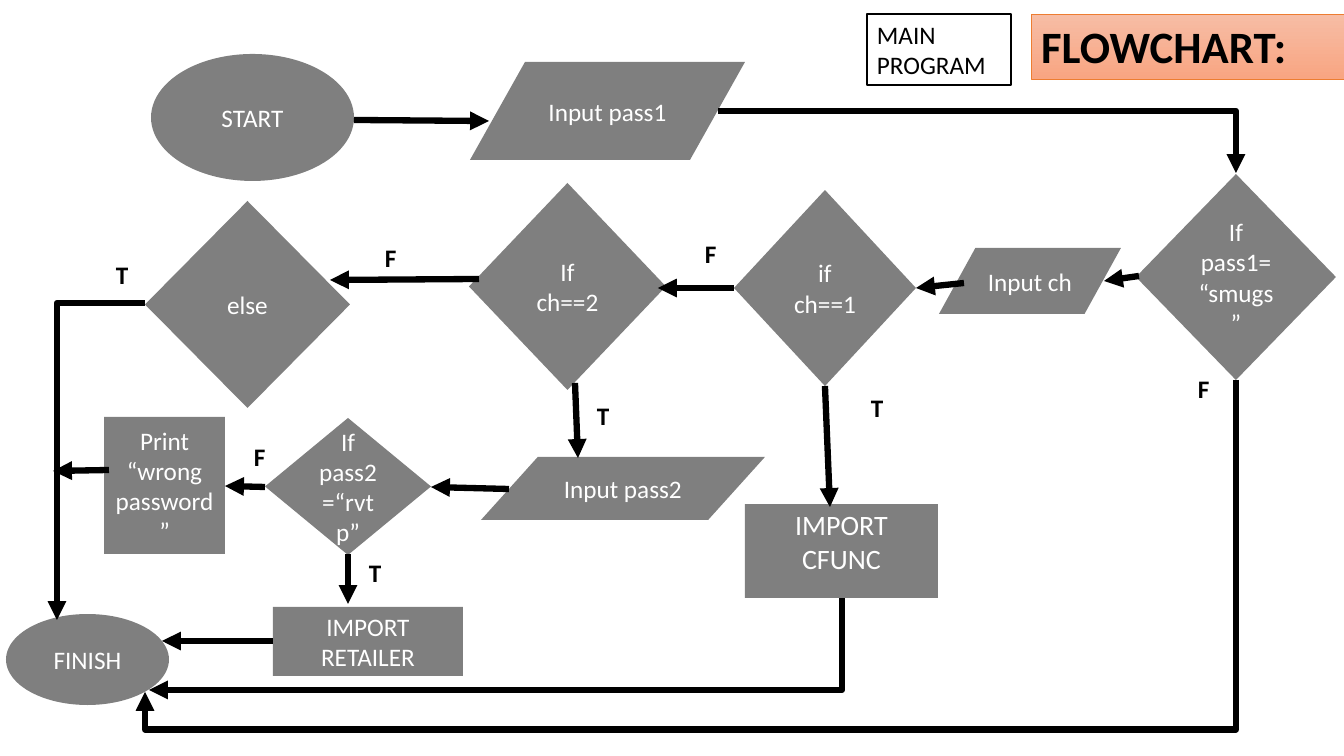
from dataclasses import dataclass

from lxml.etree import SubElement
from pptx import Presentation
from pptx.dml.color import RGBColor
from pptx.enum.shapes import MSO_CONNECTOR, MSO_SHAPE
from pptx.enum.text import MSO_ANCHOR, MSO_AUTO_SIZE, PP_ALIGN
from pptx.oxml.ns import qn
from pptx.util import Emu, Pt


@dataclass(frozen=True)
class Theme:
    """Colours, type sizes and line widths of the slide."""
    font: str = "Calibri"
    ink: RGBColor = RGBColor(0, 0, 0)
    paper: RGBColor = RGBColor(255, 255, 255)
    title_top: RGBColor = RGBColor(0xF7, 0xBD, 0xA5)
    title_bottom: RGBColor = RGBColor(0xF8, 0xA5, 0x82)
    title_edge: RGBColor = RGBColor(0xED, 0x7D, 0x31)
    title_size: int = 32
    large_size: int = 20
    body_size: int = 18
    arrow_width: float = 4.5
    node_alpha: int = 50000


THEME = Theme()


def px(value):
    """Turn picture pixels into EMU."""
    return Emu(round(value * 914400 / 100.8))


def write(shape, text, size, color, align, anchor, bold=False):
    """Put text into a shape, one paragraph a line."""
    frame = shape.text_frame
    frame.text = text
    frame.word_wrap = True
    frame.auto_size = MSO_AUTO_SIZE.NONE
    frame.vertical_anchor = anchor
    for paragraph in frame.paragraphs:
        paragraph.alignment = align
        paragraph.font.name = THEME.font
        paragraph.font.size = Pt(size)
        paragraph.font.bold = bold
        paragraph.font.color.rgb = color


@dataclass
class Region:
    """A box on the slide whose parts are placed from its top left corner."""
    slide: object
    left: int
    top: int

    def shape(self, kind, left, top, width, height):
        """Add a preset shape without shadow."""
        shape = self.slide.shapes.add_shape(
            kind, px(self.left + left), px(self.top + top), px(width), px(height))
        shape.shadow.inherit = False
        return shape

    def node(self, kind, text, left, top, width, height, size=THEME.body_size):
        """Add a translucent flowchart step."""
        shape = self.shape(kind, left, top, width, height)
        shape.fill.solid()
        shape.fill.fore_color.rgb = THEME.ink
        color = shape.fill._xPr.find(qn("a:solidFill"))[0]
        SubElement(color, qn("a:alpha"), val=str(THEME.node_alpha))
        shape.line.fill.background()
        write(shape, text, size, THEME.paper, PP_ALIGN.CENTER, MSO_ANCHOR.MIDDLE)
        return shape

    def label(self, text, left, top):
        """Add a branch label."""
        box = self.slide.shapes.add_textbox(
            px(self.left + left), px(self.top + top), px(52), px(40))
        write(box, text, THEME.body_size, THEME.ink, PP_ALIGN.LEFT, MSO_ANCHOR.TOP, True)

    def arrow(self, x1, y1, x2, y2, kind=MSO_CONNECTOR.STRAIGHT, end="a:tailEnd"):
        """Add a thick arrow between two points."""
        connector = self.slide.shapes.add_connector(
            kind, px(self.left + x1), px(self.top + y1),
            px(self.left + x2), px(self.top + y2))
        connector.line.color.rgb = THEME.ink
        connector.line.width = Pt(THEME.arrow_width)
        SubElement(connector.line._get_or_add_ln(), qn(end), type="triangle")
        SubElement(connector._element.spPr, qn("a:effectLst"))
        return connector

    def corner(self, x1, y1, x2, y2, end="a:tailEnd"):
        """Add an arrow that runs sideways, then turns once."""
        connector = self.arrow(x1, y1, x2, y2, MSO_CONNECTOR.ELBOW, end)
        connector._element.spPr.find(qn("a:prstGeom")).set("prst", "bentConnector2")

    def underpass(self, x1, y1, x2, y2, reach):
        """Add an arrow that drops, runs left and rises to its end."""
        middle_x, middle_y = (x1 + x2) / 2, (y1 + y2) / 2
        half_width, half_height = (y2 - y1) / 2, (x1 - x2) / 2
        connector = self.arrow(
            middle_x - half_width, middle_y - half_height,
            middle_x + half_width, middle_y + half_height, MSO_CONNECTOR.ELBOW)
        properties = connector._element.spPr
        properties.find(qn("a:xfrm")).set("rot", "5400000")
        geometry = properties.find(qn("a:prstGeom"))
        SubElement(geometry.find(qn("a:avLst")), qn("a:gd"),
                   name="adj1", fmla=f"val {round(reach * 100000)}")


def draw_header(region):
    """Draw the slide title and the program tag."""
    title = region.slide.shapes.title
    title.left, title.top = px(region.left + 164), px(region.top)
    title.width, title.height = px(313), px(65)
    title.fill.gradient()
    title.fill.gradient_angle = 270
    for stop, color in zip(title.fill.gradient_stops, (THEME.title_top, THEME.title_bottom)):
        stop.color.rgb = color
    title.line.color.rgb = THEME.title_edge
    title.line.width = Pt(0.5)
    write(title, "FLOWCHART:", THEME.title_size, THEME.ink,
          PP_ALIGN.LEFT, MSO_ANCHOR.TOP, True)
    tag = region.shape(MSO_SHAPE.RECTANGLE, 0, 0, 144, 71)
    tag.fill.solid()
    tag.fill.fore_color.rgb = THEME.paper
    tag.line.color.rgb = THEME.ink
    tag.line.width = Pt(1)
    write(tag, "MAIN PROGRAM", THEME.body_size, THEME.ink, PP_ALIGN.LEFT, MSO_ANCHOR.TOP)


def draw_entry(region):
    """Draw the start and the first password input."""
    region.node(MSO_SHAPE.OVAL, "START", 0, 0, 203, 127)
    region.node(MSO_SHAPE.FLOWCHART_DATA, "Input pass1", 319, 8, 275, 98)
    region.arrow(203, 66, 338, 67)
    region.corner(567, 57, 1085, 119)


def draw_choices(region):
    """Draw the row of decisions on the first password and the choice."""
    for text, *box in (("If pass1=“smugs”", 991, 0, 200, 206),
                       ("if ch==1", 589, 16, 182, 196),
                       ("If ch==2", 324, 9, 197, 207),
                       ("else", 0, 27, 205, 207)):
        region.node(MSO_SHAPE.DIAMOND, text, *box)
    region.node(MSO_SHAPE.FLOWCHART_DATA, "Input ch", 794, 74, 182, 66)
    for ends in ((994, 102, 959, 107), (819, 109, 771, 114), (589, 114, 513, 114),
                 (334, 105, 185, 106), (680, 212, 685, 333), (430, 209, 433, 284)):
        region.arrow(*ends)
    for label in (("F", 1043, 194), ("F", 550, 59), ("F", 230, 63),
                  ("T", 716, 213), ("T", 442, 221), ("T", -39, 80)):
        region.label(*label)


def draw_retailer(region):
    """Draw the second password check and its two results."""
    region.node(MSO_SHAPE.FLOWCHART_DATA, "Input pass2", 377, 40, 284, 63)
    region.node(MSO_SHAPE.DIAMOND, "If pass2=“rvtp”", 161, 1, 166, 137)
    region.node(MSO_SHAPE.RECTANGLE, "Print “wrong password”", 0, 0, 121, 137)
    region.node(MSO_SHAPE.RECTANGLE, "IMPORT RETAILER", 169, 190, 190, 69)
    for ends in ((405, 72, 327, 70), (161, 70, 121, 69), (5, 53, -51, 54),
                 (244, 137, 244, 187), (169, 224, 58, 224)):
        region.arrow(*ends)
    region.label("F", 140, 19)
    region.label("T", 255, 135)


def draw_finish(region):
    """Draw the customer import, the finish and the long ways to it."""
    customer = region.node(MSO_SHAPE.RECTANGLE, "IMPORT\nCFUNC", 739, 201, 193, 94,
                           THEME.large_size)
    customer.text_frame.margin_bottom = px(25)
    region.node(MSO_SHAPE.OVAL, "FINISH", 0, 311, 163, 91)
    region.corner(139, 0, 51, 317)
    region.corner(143, 387, 836, 295, "a:headEnd")
    region.underpass(1230, 77, 139, 389, 1.12)


def main():
    """Build the slide and save it."""
    presentation = Presentation()
    presentation.slide_width, presentation.slide_height = px(1344), px(756)
    slide = presentation.slides.add_slide(presentation.slide_layouts[5])
    draw_header(Region(slide, 867, 14))
    draw_entry(Region(slide, 151, 54))
    draw_choices(Region(slide, 145, 174))
    draw_retailer(Region(slide, 104, 417))
    draw_finish(Region(slide, 6, 303))
    presentation.save("out.pptx")


main()
